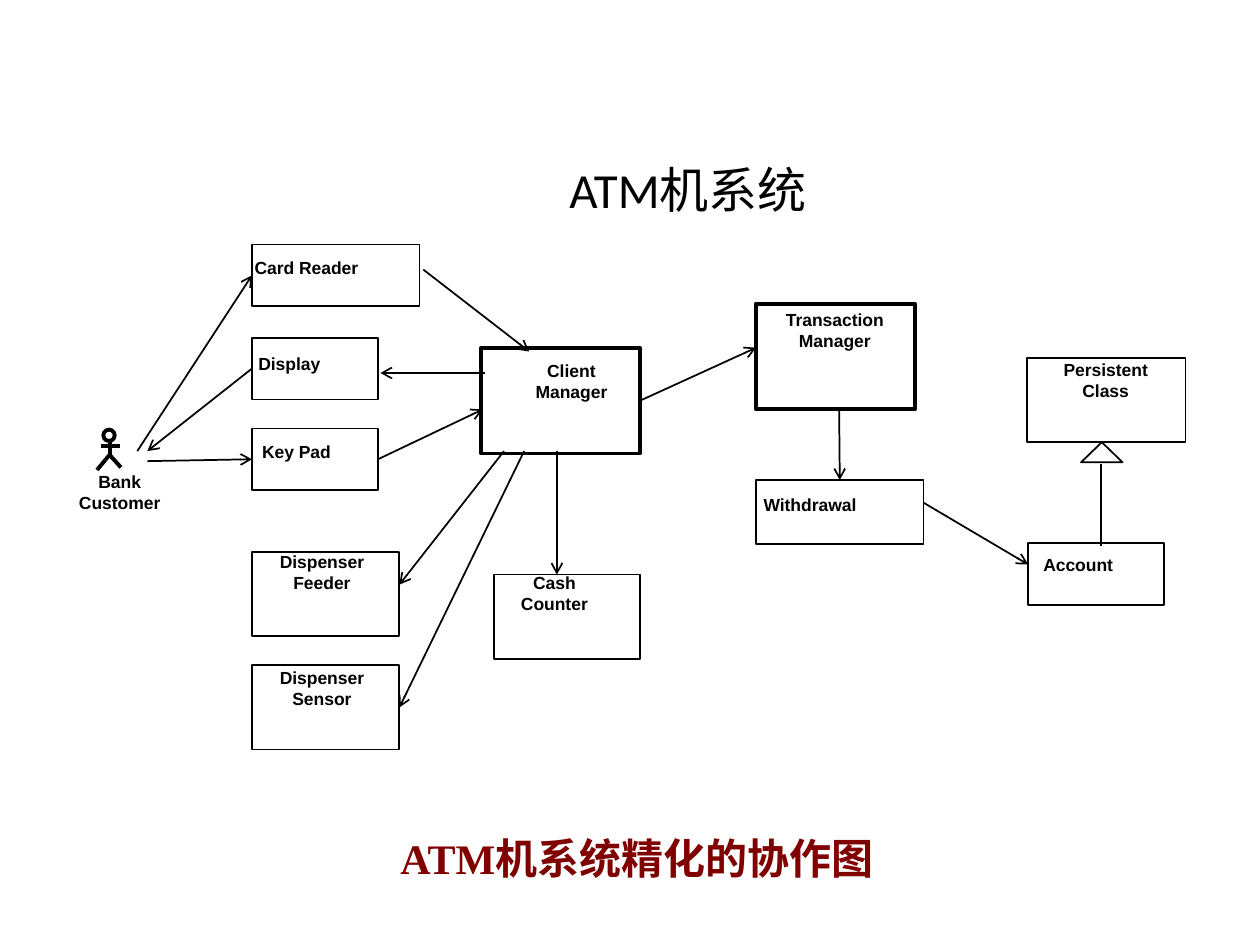
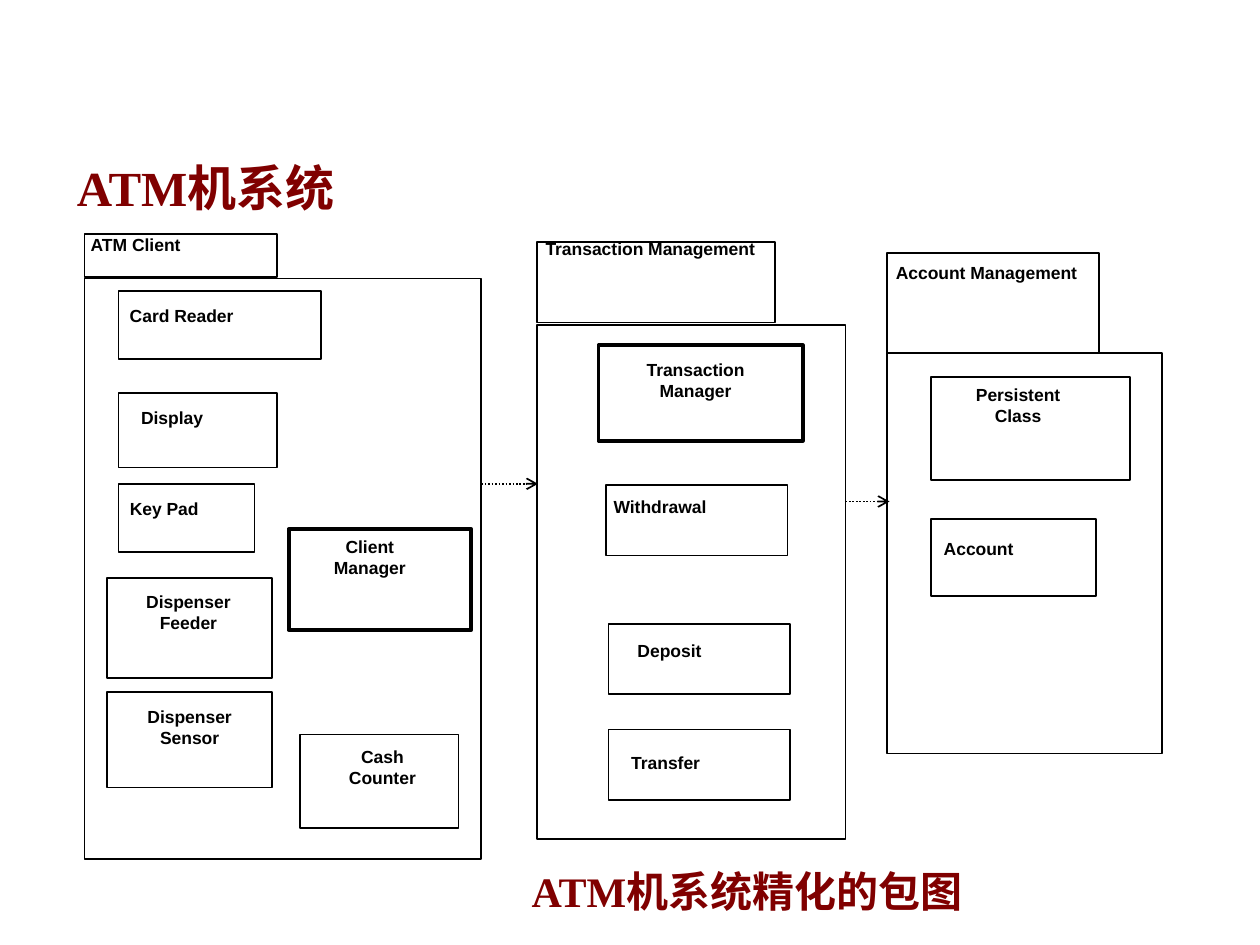
import dataclasses

import lxml.etree
import pptx
import pptx.dml.color
import pptx.enum.dml
import pptx.enum.shapes
import pptx.enum.text
import pptx.oxml.ns
import pptx.util

Inches = pptx.util.Inches
Align = pptx.enum.text.PP_ALIGN
AutoSize = pptx.enum.text.MSO_AUTO_SIZE
Shape = pptx.enum.shapes.MSO_SHAPE
TOP, LEFT, BOTTOM, RIGHT = range(4)


@dataclasses.dataclass(frozen=True)
class TextStyle:
    font: str
    size: float
    color: str
    bold: bool = True


@dataclasses.dataclass(frozen=True)
class Theme:
    ink: str = "000000"
    paper: str = "FFFFFF"
    thin: float = 1
    thick: float = 2.25
    plain_title: TextStyle = TextStyle("Calibri", 28, "000000", False)
    accent_title: TextStyle = TextStyle("Times New Roman", 28, "800000")
    caption: TextStyle = TextStyle("Times New Roman", 24, "800000")
    label: TextStyle = TextStyle("Arial", 10, "000000")


def rgb(color):
    return pptx.dml.color.RGBColor.from_string(color)


def lengths(values):
    return [Inches(value) for value in values]


class DiagramDeck:
    def __init__(self, theme):
        self.theme = theme
        self.presentation = pptx.Presentation()
        self.presentation.slide_width = Inches(10)
        self.presentation.slide_height = Inches(7.5)
        self.slide = None

    def add_slide(self, title, place, style, alignment):
        self.slide = self.presentation.slides.add_slide(self.presentation.slide_layouts[5])
        shape = self.slide.shapes.title
        shape.left, shape.top, shape.width, shape.height = lengths(place)
        frame = shape.text_frame
        frame.auto_size = AutoSize.NONE
        frame.vertical_anchor = pptx.enum.text.MSO_ANCHOR.BOTTOM
        self.set_text(frame, title, style, alignment)

    def set_text(self, frame, text, style, alignment):
        frame.text = text
        for paragraph in frame.paragraphs:
            paragraph.alignment = alignment
            for run in paragraph.runs:
                run.font.name = style.font
                run.font.size = pptx.util.Pt(style.size)
                run.font.bold = style.bold
                run.font.color.rgb = rgb(style.color)

    def label(self, text, place):
        frame = self.slide.shapes.add_textbox(*lengths(place)).text_frame
        frame.word_wrap = True
        frame.margin_left = frame.margin_top = frame.margin_right = frame.margin_bottom = 0
        alignment = Align.CENTER if "\n" in text else Align.LEFT
        self.set_text(frame, text, self.theme.label, alignment)

    def caption(self, text, place):
        frame = self.slide.shapes.add_textbox(*lengths(place)).text_frame
        frame.word_wrap = False
        frame.auto_size = AutoSize.SHAPE_TO_FIT_TEXT
        self.set_text(frame, text, self.theme.caption, Align.LEFT)

    def outline(self, place, kind=Shape.RECTANGLE, weight=None, fill=None):
        shape = self.slide.shapes.add_shape(kind, *lengths(place))
        shape.shadow.inherit = False
        if fill:
            shape.fill.solid()
            shape.fill.fore_color.rgb = rgb(fill)
        else:
            shape.fill.background()
        self.stroke(shape.line, weight)
        return shape

    def stroke(self, line, weight):
        line.color.rgb = rgb(self.theme.ink)
        line.width = pptx.util.Pt(weight or self.theme.thin)

    def boxes(self, rows, heavy=()):
        shapes = {}
        for text, place, label_place in rows:
            name = text.replace("\n", " ")
            weight = self.theme.thick if name in heavy else self.theme.thin
            shapes[name] = self.outline(place, weight=weight)
            self.label(text, label_place)
        return shapes

    def line(self, start, end, weight=None):
        connector = self.slide.shapes.add_connector(
            pptx.enum.shapes.MSO_CONNECTOR.STRAIGHT, *lengths(start + end))
        self.stroke(connector.line, weight)
        properties = connector._element.spPr
        lxml.etree.SubElement(properties, pptx.oxml.ns.qn("a:effectLst"))
        return connector

    def arrow(self, start, end, source=None, target=None, dotted=False):
        connector = self.line(start, end)
        if source:
            connector.begin_connect(*source)
        if target:
            connector.end_connect(*target)
        if dotted:
            connector.line.dash_style = pptx.enum.dml.MSO_LINE.ROUND_DOT
        stroke = connector.line._get_or_add_ln()
        lxml.etree.SubElement(stroke, pptx.oxml.ns.qn("a:tailEnd"), type="arrow")

    def actor(self, text, label_place):
        thick = self.theme.thick
        self.outline((0.82, 3.41, 0.09, 0.09), Shape.OVAL, thick, self.theme.paper)
        hip = (0.87, 3.61)
        for start, end in (
            ((0.87, 3.49), hip),
            (hip, (0.77, 3.73)),
            ((0.96, 3.71), hip),
            ((0.8, 3.54), (0.95, 3.54)),
        ):
            self.line(start, end, thick)
        self.label(text, label_place)


def build_collaboration_slide(deck):
    deck.add_slide("ATM机系统", (0.92, 0.77, 9.08, 1.01),
                   deck.theme.plain_title, Align.CENTER)
    boxes = deck.boxes([
        ("Card Reader", (2, 1.94, 1.33, 0.49), (2.02, 2.04, 1.32, 0.28)),
        ("Display", (2, 2.68, 1, 0.49), (2.05, 2.8, 0.89, 0.36)),
        ("Key Pad", (2, 3.4, 1, 0.49), (2.08, 3.5, 0.87, 0.36)),
        ("Dispenser\nFeeder", (2, 4.38, 1.17, 0.67), (2.02, 4.37, 1.07, 0.64)),
        ("Dispenser\nSensor", (2, 5.28, 1.17, 0.67), (2.02, 5.29, 1.07, 0.64)),
        ("Cash\nCounter", (3.92, 4.56, 1.16, 0.67), (3.9, 4.54, 1, 0.62)),
        ("Client\nManager", (3.82, 2.76, 1.26, 0.84), (4, 2.86, 1.07, 0.68)),
        ("Transaction\nManager", (6, 2.41, 1.26, 0.84), (6, 2.45, 1.25, 0.66)),
        ("Withdrawal", (6, 3.81, 1.33, 0.51), (6.06, 3.92, 1.22, 0.3)),
        ("Persistent\nClass", (8.15, 2.84, 1.26, 0.67), (8.24, 2.85, 1.07, 0.64)),
        ("Account", (8.16, 4.31, 1.08, 0.49), (8.28, 4.4, 0.95, 0.29)),
    ], heavy=("Client Manager", "Transaction Manager"))
    deck.actor("Bank\nCustomer", (0.35, 3.74, 1.2, 0.66))
    deck.outline((8.58, 3.51, 0.33, 0.16), Shape.ISOSCELES_TRIANGLE)
    deck.line((8.74, 3.68), (8.74, 4.33))

    deck.arrow((1.09, 3.58), (2, 2.19), target=(boxes["Card Reader"], LEFT))
    deck.arrow((2, 2.92), (1.17, 3.58), source=(boxes["Display"], LEFT))
    deck.arrow((1.17, 3.66), (2, 3.66), target=(boxes["Key Pad"], LEFT))
    deck.arrow((3, 3.66), (3.83, 3.25), source=(boxes["Key Pad"], RIGHT))
    deck.arrow((5.08, 3.17), (6, 2.76), source=(boxes["Client Manager"], RIGHT))
    deck.arrow((4.16, 3.58), (3.17, 5.63), target=(boxes["Dispenser Sensor"], RIGHT))
    deck.arrow((6.66, 3.25), (6.66, 3.82), target=(boxes["Withdrawal"], TOP))
    for start, end in (
        ((3.36, 2.14), (4.2, 2.79)),
        ((3.85, 2.96), (3.02, 2.96)),
        ((7.33, 3.99), (8.16, 4.48)),
        ((4.42, 3.58), (4.42, 4.56)),
        ((4, 3.58), (3.17, 4.64)),
    ):
        deck.arrow(start, end)
    deck.caption("ATM机系统精化的协作图", (3.08, 6.56, 4.06, 0.5))


def build_package_slide(deck):
    deck.add_slide("ATM机系统", (0.51, 0.76, 9.08, 1.01),
                   deck.theme.accent_title, Align.LEFT)
    for body in ((0.67, 2.21, 3.15, 4.61), (4.26, 2.58, 2.45, 4.08), (7.04, 2.8, 2.18, 3.18)):
        deck.outline(body)
    deck.boxes([
        ("ATM Client", (0.67, 1.86, 1.53, 0.34), (0.72, 1.86, 1.49, 0.31)),
        ("Transaction Management", (4.26, 1.92, 1.89, 0.64), (4.33, 1.89, 2.04, 0.62)),
        ("Account Management", (7.04, 2.01, 1.68, 0.79), (7.11, 2.08, 1.6, 0.67)),
        ("Card Reader", (0.94, 2.31, 1.61, 0.54), (1.03, 2.42, 1.47, 0.4)),
        ("Display", (0.94, 3.12, 1.26, 0.59), (1.12, 3.23, 0.96, 0.35)),
        ("Key Pad", (0.94, 3.84, 1.08, 0.54), (1.03, 3.95, 0.99, 0.4)),
        ("Dispenser\nFeeder", (0.85, 4.59, 1.31, 0.79), (0.92, 4.69, 1.15, 0.6)),
        ("Dispenser\nSensor", (0.85, 5.49, 1.31, 0.76), (0.92, 5.6, 1.17, 0.62)),
        ("Client\nManager", (2.29, 4.2, 1.45, 0.8), (2.42, 4.25, 1.03, 0.75)),
        ("Cash\nCounter", (2.38, 5.83, 1.26, 0.74), (2.56, 5.92, 0.95, 0.6)),
        ("Transaction\nManager", (4.75, 2.74, 1.62, 0.76), (4.84, 2.85, 1.36, 0.58)),
        ("Withdrawal", (4.81, 3.85, 1.44, 0.56), (4.87, 3.94, 1.26, 0.35)),
        ("Deposit", (4.83, 4.95, 1.44, 0.56), (5.06, 5.08, 1.07, 0.35)),
        ("Transfer", (4.83, 5.79, 1.44, 0.56), (5.01, 5.97, 1.26, 0.35)),
        ("Persistent\nClass", (7.39, 2.99, 1.58, 0.82), (7.46, 3.05, 1.24, 0.65)),
        ("Account", (7.39, 4.12, 1.31, 0.61), (7.49, 4.27, 1.16, 0.36)),
    ], heavy=("Client Manager", "Transaction Manager"))
    deck.arrow((3.82, 3.84), (4.27, 3.84), dotted=True)
    deck.arrow((6.71, 3.98), (7.06, 3.98), dotted=True)
    deck.caption("ATM机系统精化的包图", (4.12, 6.82, 3.72, 0.5))


def main():
    deck = DiagramDeck(Theme())
    build_collaboration_slide(deck)
    build_package_slide(deck)
    deck.presentation.save("out.pptx")


if __name__ == "__main__":
    main()
